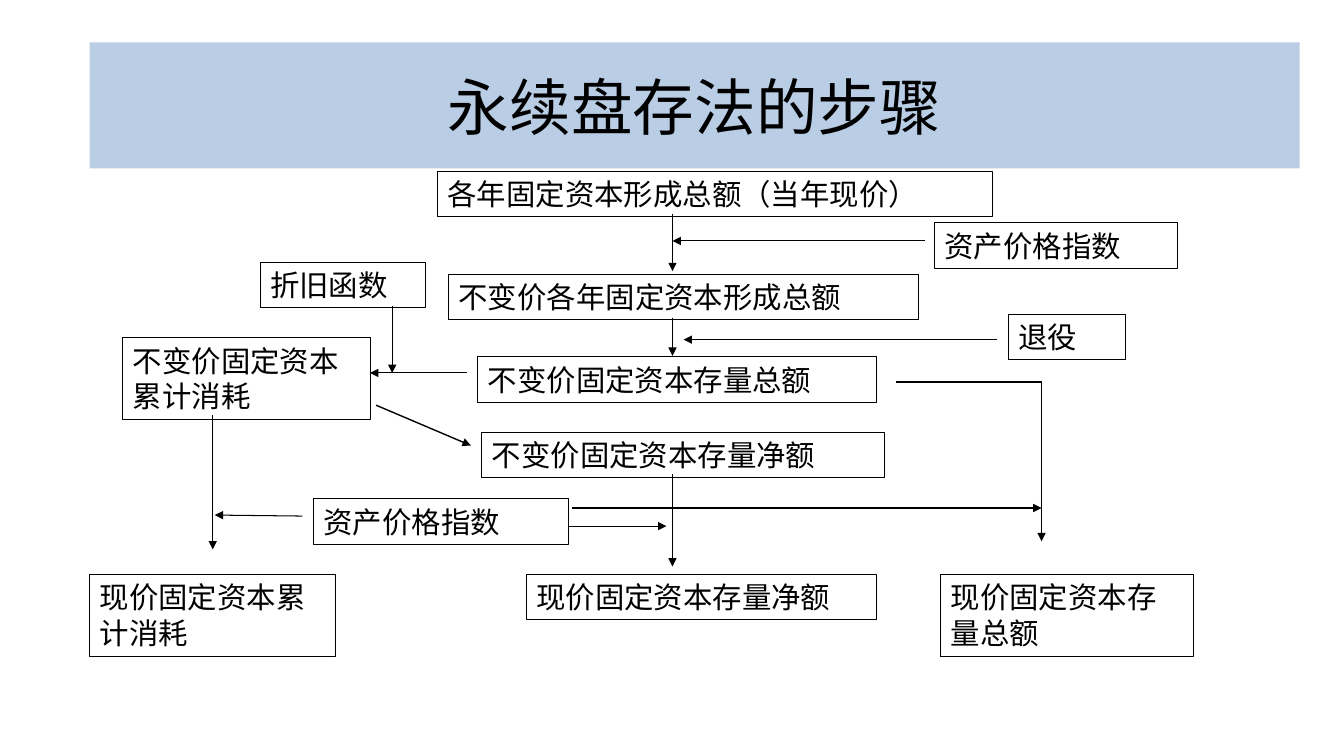
import pptx
import pptx.util
import pptx.dml.color
import pptx.enum.shapes
import pptx.enum.text
from lxml import etree

Inches = pptx.util.Inches
Pt = pptx.util.Pt
INK = "000000"
BAND = "B9CDE5"

# Content: text, left, top, width, line count
TITLE = "永续盘存法的步骤"
BOXES = [
    ("各年固定资本形成总额（当年现价）", 4.34, 1.7, 5.5, 1),
    ("不变价各年固定资本形成总额", 4.45, 2.72, 4.66, 1),
    ("不变价固定资本存量总额", 4.74, 3.54, 3.95, 1),
    ("不变价固定资本存量净额", 4.78, 4.29, 3.99, 1),
    ("现价固定资本存量净额", 5.22, 5.7, 3.47, 1),
    ("现价固定资本存量总额", 9.33, 5.7, 2.51, 2),
    ("现价固定资本累计消耗", 0.89, 5.7, 2.44, 2),
    ("不变价固定资本累计消耗", 1.22, 3.35, 2.46, 2),
    ("资产价格指数", 3.11, 4.95, 2.53, 1),
    ("资产价格指数", 9.27, 2.21, 2.41, 1),
    ("退役", 10, 3.12, 1.16, 1),
    ("折旧函数", 2.58, 2.6, 1.64, 1),
]
HEIGHT = {1: 0.45, 2: 0.81}

# Lines: x, then start and end y; y, then start and end x
MID, RIGHT = 6.67, 10.33
DOWN = [
    (MID, 2.12, 2.69),
    (MID, 3.15, 3.53),
    (MID, 4.7, 5.62),
    (3.89, 3.04, 3.7),
    (2.11, 4.12, 5.45),
    (RIGHT, 3.79, 5.37),
]
ACROSS = [
    (2.39, 9.17, MID),
    (3.37, 9.89, 6.78),
    (3.7, 4.63, 3.67),
    (5.04, 5.67, RIGHT),
    (5.22, 5.64, 6.61),
]


def color(code):
    return pptx.dml.color.RGBColor.from_string(code)


def add_box(text, left, top, width, high, size, font):
    box = slide.shapes.add_shape(
        pptx.enum.shapes.MSO_SHAPE.RECTANGLE,
        Inches(left), Inches(top), Inches(width), Inches(high))
    box.shadow.inherit = False
    box.fill.background()
    frame = box.text_frame
    frame.word_wrap = True
    frame.text = text
    para = frame.paragraphs[0]
    para.alignment = pptx.enum.text.PP_ALIGN.LEFT
    run = para.runs[0]
    run.font.size = Pt(size)
    run.font.name = font
    run.font.color.rgb = color(INK)
    return box


def add_line(x1, y1, x2, y2, width=0.75, head=True):
    line = slide.shapes.add_connector(
        pptx.enum.shapes.MSO_CONNECTOR.STRAIGHT,
        Inches(x1), Inches(y1), Inches(x2), Inches(y2))
    line.line.color.rgb = color(INK)
    line.line.width = Pt(width)
    if head:
        tail = etree.SubElement(
            line.line._get_or_add_ln(), pptx.oxml.ns.qn("a:tailEnd"))
        tail.set("type", "triangle")
    etree.SubElement(line._element.spPr, pptx.oxml.ns.qn("a:effectLst"))


deck = pptx.Presentation()
deck.slide_width, deck.slide_height = Inches(13.33), Inches(7.5)
slide = deck.slides.add_slide(deck.slide_layouts[6])

# Title band
band = add_box(TITLE, 0.89, 0.42, 12, 1.25, 44, "Calibri")
band.fill.solid()
band.fill.fore_color.rgb = color(BAND)
band.line.fill.background()
band.text_frame.vertical_anchor = pptx.enum.text.MSO_ANCHOR.MIDDLE
band.text_frame.paragraphs[0].alignment = pptx.enum.text.PP_ALIGN.CENTER

# Step boxes
for text, left, top, width, rows in BOXES:
    box = add_box(text, left, top, width, HEIGHT[rows], 21, "Arial")
    box.line.color.rgb = color(INK)
    box.line.width = Pt(0.75)
    box.text_frame.vertical_anchor = pptx.enum.text.MSO_ANCHOR.TOP
    box.text_frame.auto_size = pptx.enum.text.MSO_AUTO_SIZE.SHAPE_TO_FIT_TEXT

# Arrows
for x, start, end in DOWN:
    add_line(x, start, x, end)
for y, start, end in ACROSS:
    add_line(start, y, end, y)
add_line(3, 5.12, 2.13, 5.11)
add_line(3.73, 4.02, 4.67, 4.42, width=1)
add_line(8.89, 3.79, RIGHT, 3.79, head=False)

deck.save("out.pptx")
